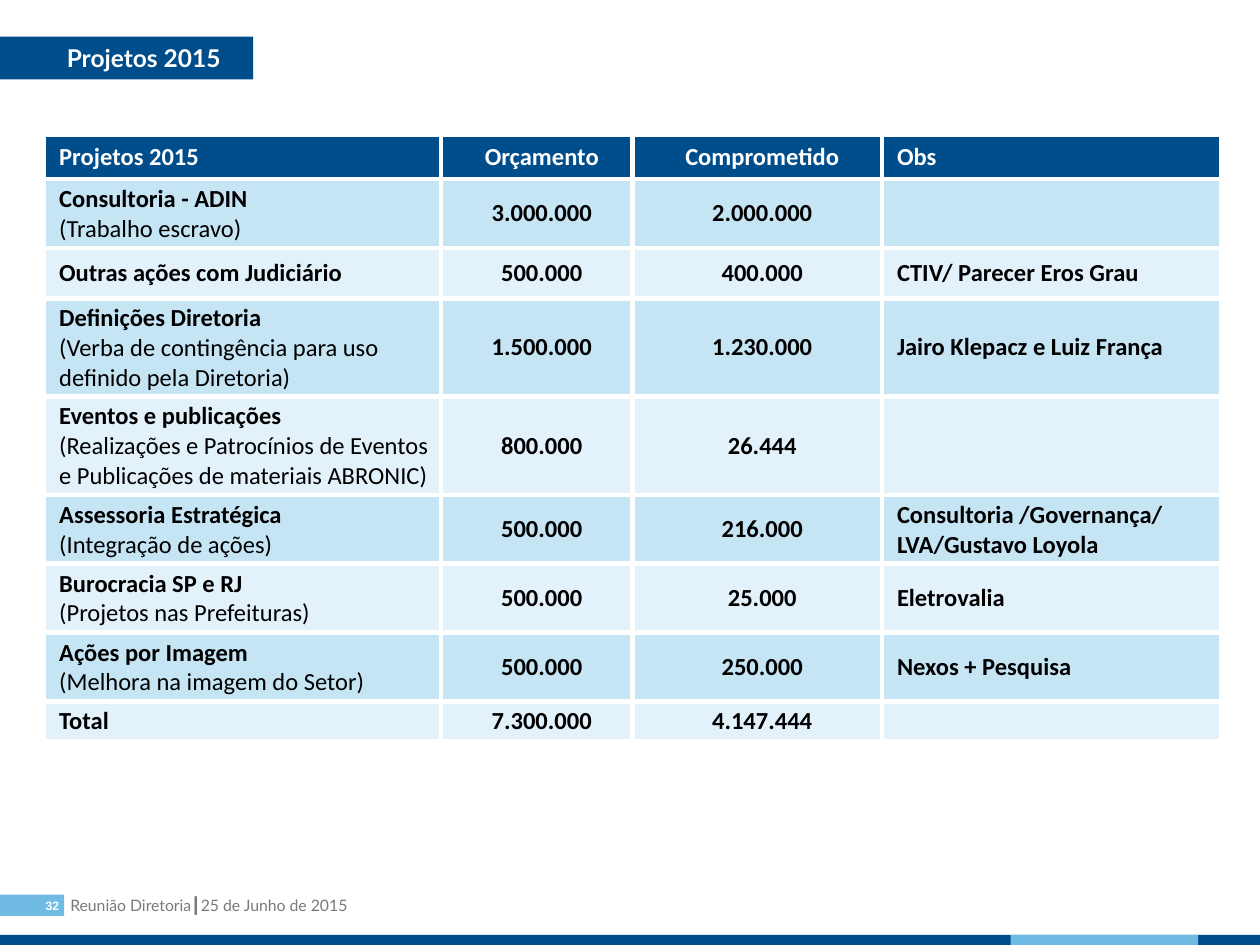
from dataclasses import dataclass
from typing import NamedTuple

from lxml.etree import SubElement
from pptx import Presentation
from pptx.dml.color import RGBColor
from pptx.enum.shapes import MSO_SHAPE as Shape
from pptx.enum.text import MSO_ANCHOR as Anchor, PP_ALIGN as Align
from pptx.oxml.ns import qn
from pptx.util import Inches, Pt

NAVY = RGBColor(0x00, 0x4D, 0x8C)
SKY = RGBColor(0x6F, 0xBB, 0xE4)
BAND_DARK = RGBColor(0xC5, 0xE4, 0xF4)
BAND_LIGHT = RGBColor(0xE2, 0xF1, 0xFA)
WHITE = RGBColor(0xFF, 0xFF, 0xFF)
BLACK = RGBColor(0x00, 0x00, 0x00)
GREY = RGBColor(0x79, 0x79, 0x79)


class Project(NamedTuple):
    name: str
    detail: str
    budget: str
    committed: str
    note: str
    height: float


@dataclass
class Bar:
    left: float
    top: float
    width: float
    height: float
    color: RGBColor


@dataclass
class TextStyle:
    font: str
    size: float
    color: RGBColor
    bold: bool = True


PROJECTS = [
    Project("Consultoria - ADIN", "(Trabalho escravo)", "3.000.000", "2.000.000", "", 0.54),
    Project("Outras ações com Judiciário", "", "500.000", "400.000",
            "CTIV/ Parecer Eros Grau", 0.4),
    Project("Definições Diretoria",
            "(Verba de contingência para uso\ndefinido pela Diretoria)",
            "1.500.000", "1.230.000", "Jairo Klepacz e Luiz França", 0.78),
    Project("Eventos e publicações",
            "(Realizações e Patrocínios de Eventos e Publicações de materiais ABRONIC)",
            "800.000", "26.444", "", 0.78),
    Project("Assessoria Estratégica", "(Integração de ações)", "500.000", "216.000",
            "Consultoria /Governança/ LVA/Gustavo Loyola", 0.54),
    Project("Burocracia SP e RJ", "(Projetos nas Prefeituras)", "500.000", "25.000",
            "Eletrovalia", 0.54),
    Project("Ações por Imagem", "(Melhora na imagem do Setor)", "500.000", "250.000",
            "Nexos + Pesquisa", 0.54),
    Project("Total", "", "7.300.000", "4.147.444", "", 0.31),
]
HEADER = Project("Projetos 2015", "", "Orçamento", "Comprometido", "Obs", 0.35)
COLUMN_WIDTHS = [3.15, 1.52, 1.98, 2.69]
COLUMN_ALIGNS = [Align.LEFT, Align.CENTER, Align.CENTER, Align.LEFT]

FOOTER_TAB = Bar(0, 7.1, 0.51, 0.17, SKY)
BOTTOM_BAR = Bar(0, 7.42, 10, 0.08, NAVY)
BOTTOM_ACCENT = Bar(8.02, 7.42, 1.49, 0.08, SKY)
TITLE_BAR = Bar(0, 0.29, 2.01, 0.34, NAVY)


def add_span(para, text: str, style: TextStyle) -> None:
    span = para.add_run()
    span.text = text
    formats = {"name": style.font, "size": Pt(style.size), "bold": style.bold}
    for name, value in formats.items():
        setattr(span.font, name, value)
    span.font.color.rgb = style.color


def set_margins(target, left: float, top: float, right: float, bottom: float) -> None:
    margins = {"left": left, "top": top, "right": right, "bottom": bottom}
    for side, value in margins.items():
        setattr(target, f"margin_{side}", Inches(value))


def add_bar(page, bar: Bar):
    box = page.shapes.add_shape(Shape.RECTANGLE, Inches(bar.left), Inches(bar.top),
                                Inches(bar.width), Inches(bar.height))
    box.shadow.inherit = False
    box.fill.solid()
    box.fill.fore_color.rgb = bar.color
    box.line.fill.background()
    return box


def add_label(page, bar: Bar, text: str, style: TextStyle, align, anchor, margins) -> None:
    frame = add_bar(page, bar).text_frame
    frame.word_wrap = True
    frame.vertical_anchor = anchor
    set_margins(frame, *margins)
    para = frame.paragraphs[0]
    para.alignment = align
    add_span(para, text, style)


def add_footer(page) -> None:
    box = page.shapes.add_textbox(Inches(0.46), Inches(7.06), Inches(7.3), Inches(0.25))
    box.text_frame.word_wrap = True
    add_span(box.text_frame.paragraphs[0], "Reunião Diretoria┃25 de Junho de 2015",
             TextStyle("Lato", 9, GREY, False))


def set_borders(cell, color: RGBColor, points: float) -> None:
    """Draw all four cell edges; they must precede the fill in the XML."""
    properties = cell._tc.get_or_add_tcPr()
    for index, edge in enumerate(("a:lnL", "a:lnR", "a:lnT", "a:lnB")):
        line = SubElement(properties, qn(edge), w=str(Pt(points)))
        fill = SubElement(line, qn("a:solidFill"))
        SubElement(fill, qn("a:srgbClr"), val=str(color))
        properties.insert(index, line)


def fill_cell(cell, text: str, detail: str, align, fill: RGBColor, color: RGBColor) -> None:
    cell.fill.solid()
    cell.fill.fore_color.rgb = fill
    set_borders(cell, WHITE, 3)
    set_margins(cell, 0.12, 0.04, 0.04, 0.04)
    cell.vertical_anchor = Anchor.MIDDLE
    para = cell.text_frame.paragraphs[0]
    para.alignment = align
    if not text:
        para._p.get_or_add_endParaRPr().set("sz", "1400")
        return
    add_span(para, text, TextStyle("Calibri", 14, color))
    for line in detail.splitlines():
        para.add_line_break()
        add_span(para, line, TextStyle("Calibri", 14, color, False))


def add_project_table(page) -> None:
    rows = [HEADER, *PROJECTS]
    frame = page.shapes.add_table(
        len(rows), len(COLUMN_WIDTHS), Inches(0.35), Inches(1.07),
        Inches(sum(COLUMN_WIDTHS)), Inches(sum(row.height for row in rows)))
    table = frame.table
    table.horz_banding = False
    for column, width in zip(table.columns, COLUMN_WIDTHS):
        column.width = Inches(width)
    for index, project in enumerate(rows):
        table.rows[index].height = Inches(project.height)
        band = BAND_DARK if index % 2 else BAND_LIGHT
        fill, color = (band, BLACK) if index else (NAVY, WHITE)
        texts = [project.name, project.budget, project.committed, project.note]
        details = [project.detail, "", "", ""]
        for column, (text, detail, align) in enumerate(zip(texts, details, COLUMN_ALIGNS)):
            fill_cell(table.cell(index, column), text, detail, align, fill, color)


def main() -> None:
    deck = Presentation()
    deck.slide_width, deck.slide_height = Inches(10), Inches(7.5)
    page = deck.slides.add_slide(deck.slide_layouts[6])
    add_footer(page)
    add_label(page, FOOTER_TAB, "32", TextStyle("Arial", 7, WHITE),
              Align.RIGHT, Anchor.MIDDLE, (0, 0, 0.04, 0))
    add_bar(page, BOTTOM_BAR)
    add_bar(page, BOTTOM_ACCENT)
    add_label(page, TITLE_BAR, "Projetos 2015", TextStyle("Lato", 14, WHITE),
              Align.LEFT, Anchor.TOP, (0.53, 0.05, 0.04, 0.05))
    add_project_table(page)
    deck.save("out.pptx")


if __name__ == "__main__":
    main()
